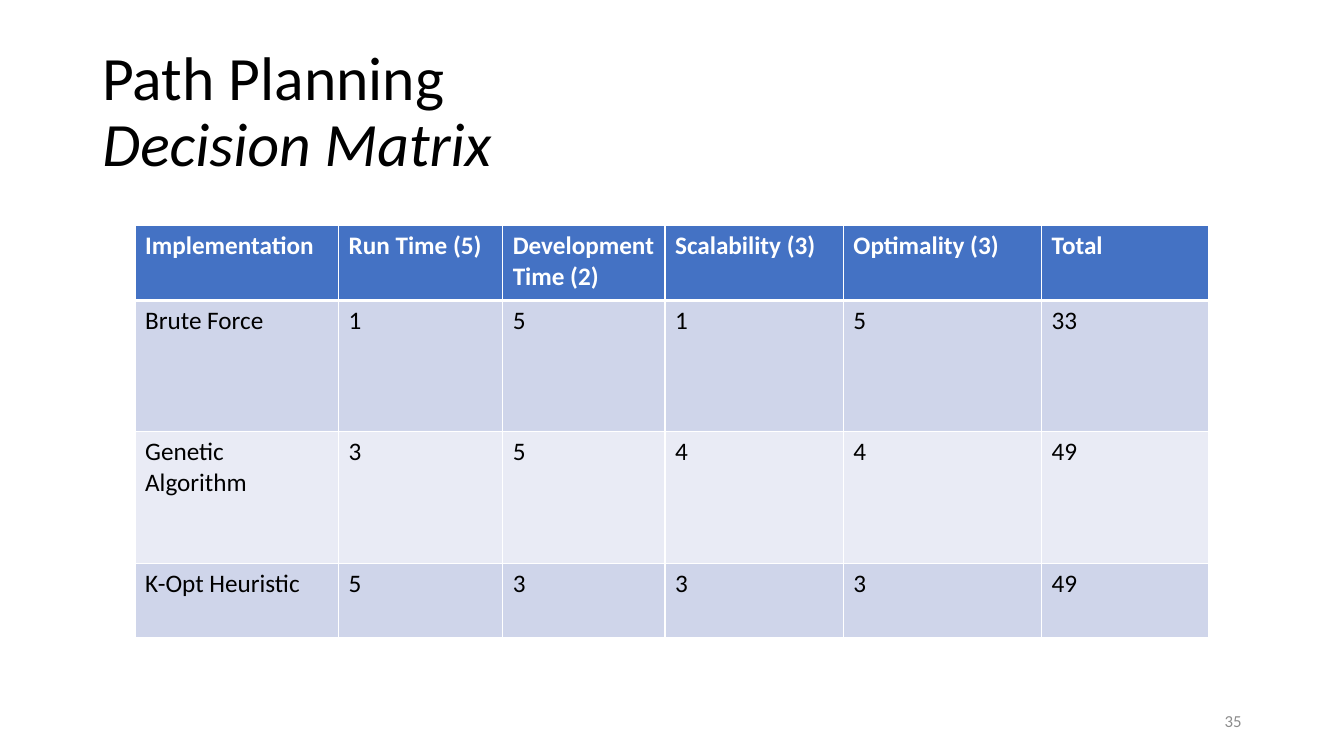
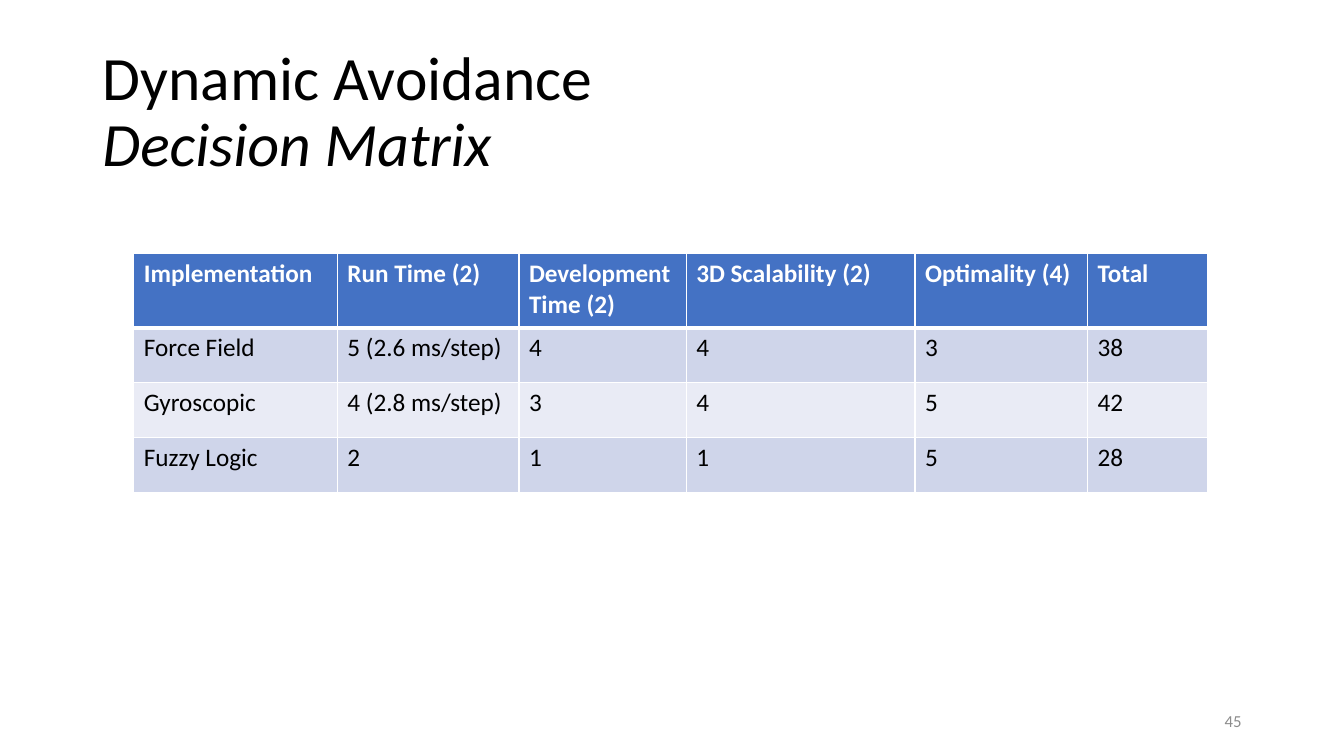
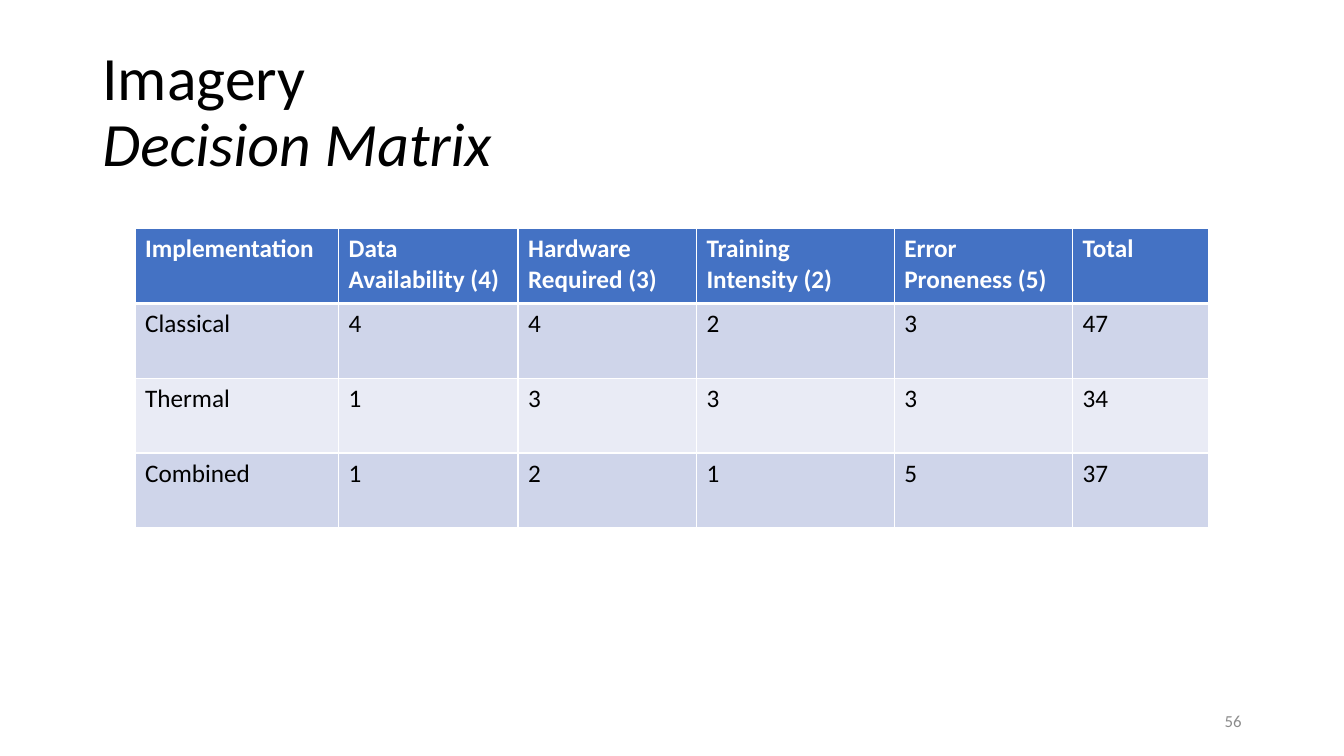
from dataclasses import dataclass

from lxml import etree
from pptx import Presentation
from pptx.dml.color import RGBColor
from pptx.enum.text import MSO_ANCHOR, MSO_AUTO_SIZE, PP_ALIGN
from pptx.oxml.ns import qn
from pptx.util import Pt

LEFT, RIGHT = PP_ALIGN.LEFT, PP_ALIGN.RIGHT
MIDDLE = MSO_ANCHOR.MIDDLE
NO_AUTOFIT = MSO_AUTO_SIZE.NONE


@dataclass(frozen=True)
class Theme:
    font: str = "Calibri"
    text: str = "000000"
    white: str = "FFFFFF"
    muted: str = "8C8C8C"
    header: str = "4472C4"
    bands: tuple = ("CFD5EA", "E9EBF5")
    title_size: int = 44
    table_size: int = 18
    number_size: int = 12
    rule: int = 1
    header_rule: int = 3


theme = Theme()

SUBTITLE = "Decision Matrix"
MATRICES = [
    {
        "title": "Path Planning",
        "number": "35",
        "origin": (96.5, 161.3),
        "columns": [145.4, 117.2, 116, 127.4, 141.6, 119.4],
        "heights": [53.3, 93.9, 93.9, 53.3],
        "rows": [
            ["Implementation", "Run Time (5)", "Development Time (2)",
             "Scalability (3)", "Optimality (3)", "Total"],
            ["Brute Force", "1", "5", "1", "5", "33"],
            ["Genetic Algorithm", "3", "5", "4", "4", "49"],
            ["K-Opt Heuristic", "5", "3", "3", "3", "49"],
        ],
    },
    {
        "title": "Dynamic Avoidance",
        "number": "45",
        "origin": (95.6, 180.9),
        "columns": [145.4, 129.7, 119.5, 163.4, 123.2, 85.7],
        "heights": [53.3, 39.3, 39.3, 39.3],
        "rows": [
            ["Implementation", "Run Time (2)", "Development Time (2)",
             "3D Scalability (2)", "Optimality (4)", "Total"],
            ["Force Field", "5 (2.6 ms/step)", "4", "4", "3", "38"],
            ["Gyroscopic", "4 (2.8 ms/step)", "3", "4", "5", "42"],
            ["Fuzzy Logic", "2", "1", "1", "5", "28"],
        ],
    },
    {
        "title": "Imagery",
        "number": "56",
        "origin": (96.5, 163.5),
        "columns": [145.4, 128.2, 127.4, 141.3, 127.4, 97.2],
        "heights": [53.4] * 4,
        "rows": [
            ["Implementation", "Data Availability (4)", "Hardware Required (3)",
             "Training Intensity (2)", "Error Proneness (5)", "Total"],
            ["Classical", "4", "4", "2", "3", "47"],
            ["Thermal", "1", "3", "3", "3", "34"],
            ["Combined", "1", "2", "1", "5", "37"],
        ],
    },
]


def add_span(para, text, size, color, **formats):
    span = para.add_run()
    span.text = text
    values = {"name": theme.font, "size": Pt(size), "bold": False, **formats}
    for name, value in values.items():
        setattr(span.font, name, value)
    span.font.color.rgb = RGBColor.from_string(color)


def add_borders(cell, widths):
    properties = cell._tc.get_or_add_tcPr()
    for side, width in widths.items():
        line = etree.SubElement(properties, qn(f"a:ln{side}"), w=str(Pt(width)))
        fill = etree.SubElement(line, qn("a:solidFill"))
        etree.SubElement(fill, qn("a:srgbClr"), val=theme.white)


deck = Presentation()
deck.slide_width, deck.slide_height = Pt(960), Pt(540)
title_only = deck.slide_layouts[5]

for matrix in MATRICES:
    page = deck.slides.add_slide(title_only)

    # Title and page number boxes
    title = page.shapes.title
    number = page.shapes.add_textbox(0, 0, 0, 0)
    for box, bounds, align in (
        (title, (66, 28.8, 828, 104.4), LEFT),
        (number, (678, 500.5, 216, 28.8), RIGHT),
    ):
        box.left, box.top, box.width, box.height = map(Pt, bounds)
        frame = box.text_frame
        frame.word_wrap = True
        frame.auto_size = NO_AUTOFIT
        frame.vertical_anchor = MIDDLE
        frame.paragraphs[0].alignment = align

    para = title.text_frame.paragraphs[0]
    para.line_spacing = 0.9
    add_span(para, matrix["title"], theme.title_size, theme.text)
    para.add_line_break()
    add_span(para, SUBTITLE, theme.title_size, theme.text, italic=True)
    add_span(number.text_frame.paragraphs[0], matrix["number"],
             theme.number_size, theme.muted)

    # Decision table
    rows, columns, heights = matrix["rows"], matrix["columns"], matrix["heights"]
    left, top = matrix["origin"]
    table = page.shapes.add_table(
        len(rows), len(columns), Pt(left), Pt(top),
        Pt(sum(columns)), Pt(sum(heights))).table
    for column, width in zip(table.columns, columns):
        column.width = Pt(width)

    for index, (row, height, texts) in enumerate(zip(table.rows, heights, rows)):
        row.height = Pt(height)
        is_header = index == 0
        color = theme.white if is_header else theme.text
        fill = theme.header if is_header else theme.bands[(index - 1) % 2]
        borders = {
            "L": theme.rule,
            "R": theme.rule,
            "T": theme.header_rule if index == 1 else theme.rule,
            "B": theme.header_rule if is_header else theme.rule,
        }
        for cell, text in zip(row.cells, texts):
            add_borders(cell, borders)
            cell.fill.solid()
            cell.fill.fore_color.rgb = RGBColor.from_string(fill)
            add_span(cell.text_frame.paragraphs[0], text,
                     theme.table_size, color, bold=is_header)

deck.save("out.pptx")
